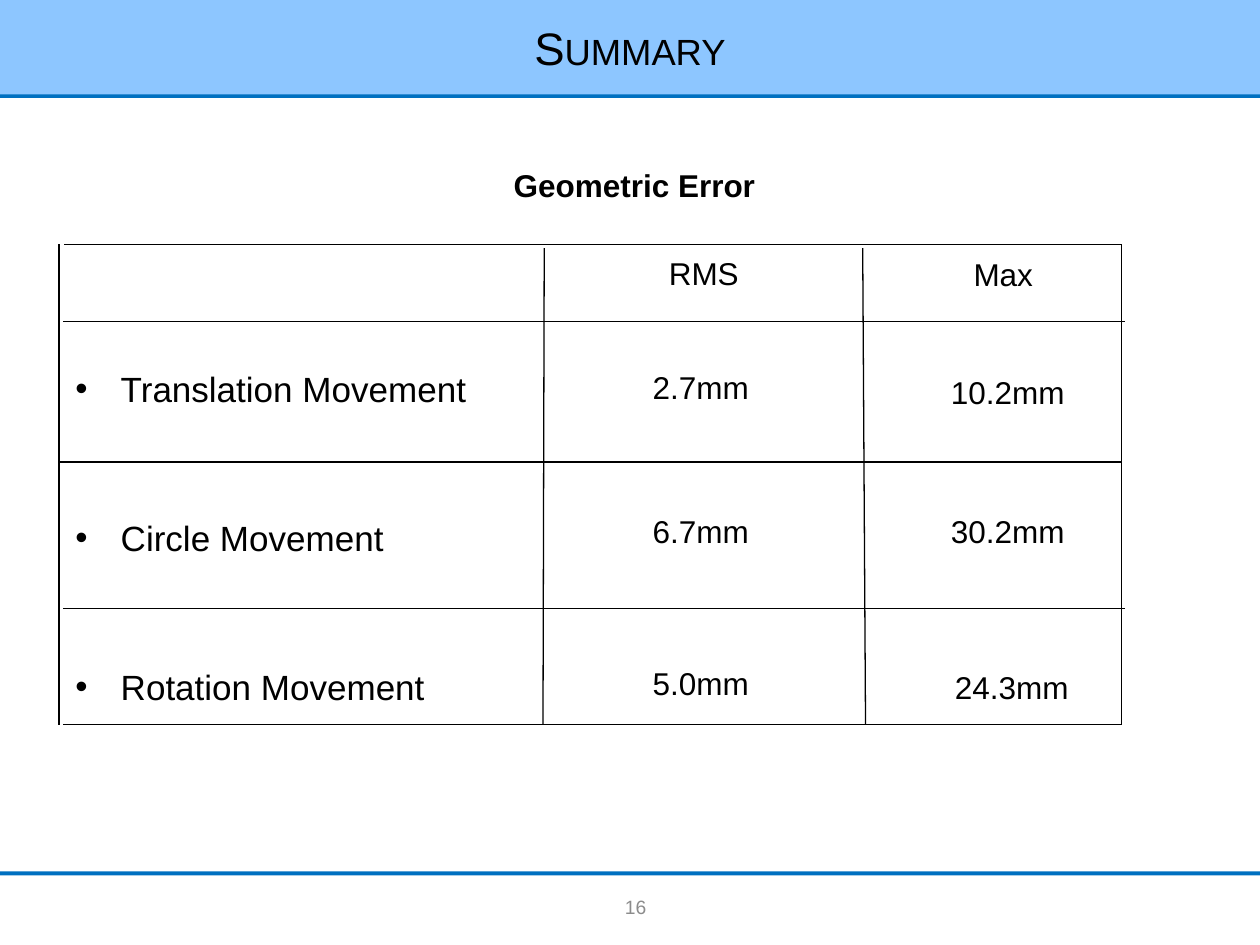
from lxml import etree
from pptx import Presentation
from pptx.dml.color import RGBColor
from pptx.enum import shapes, text
from pptx.oxml import ns
from pptx.util import Pt

BLACK = RGBColor(0x00, 0x00, 0x00)
BLUE = RGBColor(0x00, 0x70, 0xC0)
SKY = RGBColor(0x8D, 0xC6, 0xFF)
GRAY = RGBColor(0x8C, 0x8C, 0x8C)
FONT = "Arial"

MOVEMENTS = ["Translation Movement", "Circle Movement", "Rotation Movement"]

LABELS = [
    ("RMS", 375.1, 141.5, 54.7),
    ("Max", 549.2, 142, 49),
    ("2.7mm", 365.8, 207, 69.8),
    ("10.2mm", 536.2, 209.5, 79.9),
    ("6.7mm", 365.8, 289, 69.8),
    ("30.2mm", 536.2, 289, 79.9),
    ("5.0mm", 365.8, 375.8, 69.8),
    ("24.3mm", 538.6, 378, 79.9),
]

RULES = [
    (36, 183.6, 643, 183.6),
    (33.8, 264, 640.8, 264),
    (36, 347.8, 643, 347.8),
    (311, 141.8, 310.3, 414),
    (36.7, 139.7, 640.8, 139.7),
    (33.8, 139.7, 33.8, 414),
    (36, 414, 640.8, 414),
    (640.8, 139.7, 640.8, 414),
    (493, 141.8, 494.6, 414),
]


def add_band(s, top, height, color):
    sp = s.shapes.add_shape(shapes.MSO_SHAPE.RECTANGLE, 0, Pt(top), Pt(720), Pt(height))
    sp.shadow.inherit = False
    sp.fill.solid()
    sp.fill.fore_color.rgb = color
    sp.line.fill.background()


def format_paragraph(p, size, color=BLACK, align=text.PP_ALIGN.LEFT, bold=False):
    p.alignment = align
    for r in p.runs:
        r.font.name = FONT
        r.font.size = Pt(size)
        r.font.bold = bold
        r.font.color.rgb = color


def add_text(s, words, left, top, width, height, size, wrap=True, **style):
    tf = s.shapes.add_textbox(Pt(left), Pt(top), Pt(width), Pt(height)).text_frame
    tf.word_wrap = wrap
    if wrap:
        tf.vertical_anchor = text.MSO_ANCHOR.MIDDLE
    else:
        tf.auto_size = text.MSO_AUTO_SIZE.SHAPE_TO_FIT_TEXT
    tf.text = words
    format_paragraph(tf.paragraphs[0], size, **style)
    return tf.paragraphs[0].runs[0]


def add_bullet(p):
    pPr = p._p.get_or_add_pPr()
    pPr.set("marL", str(Pt(26)))
    pPr.set("indent", str(-Pt(26)))
    etree.SubElement(pPr, ns.qn("a:buFont"), typeface=FONT)
    etree.SubElement(pPr, ns.qn("a:buChar"), char="•")


def add_bullet_list(s, items):
    tf = s.shapes.add_textbox(Pt(13), Pt(188.6), Pt(329.8), Pt(185.8)).text_frame
    tf.word_wrap = True
    tf.margin_left = Pt(30)
    tf.margin_top = Pt(21.6)
    tf.text = "\n".join(items)
    for i, p in enumerate(tf.paragraphs):
        if i:
            p.space_before = Pt(61)
        add_bullet(p)
        format_paragraph(p, 20)


def add_rule(s, x1, y1, x2, y2):
    line = s.shapes.add_connector(shapes.MSO_CONNECTOR.STRAIGHT,
                                  Pt(x1), Pt(y1), Pt(x2), Pt(y2))
    line.line.color.rgb = BLACK
    line.line.width = Pt(0.75)
    etree.SubElement(line._element.spPr, ns.qn("a:effectLst"))


def main():
    prs = Presentation()
    prs.slide_width, prs.slide_height = Pt(720), Pt(540)
    s = prs.slides.add_slide(prs.slide_layouts[6])
    add_band(s, 0, 56, BLUE)
    add_band(s, 0, 54, SKY)
    add_band(s, 498, 2.2, BLUE)
    add_bullet_list(s, MOVEMENTS)
    title = add_text(s, "Summary", 102, 0, 516, 54, 26, align=text.PP_ALIGN.CENTER)
    title.font._element.set("cap", "small")
    add_text(s, "16", 343.5, 503.7, 33, 29, 11, color=GRAY, align=text.PP_ALIGN.RIGHT)
    add_text(s, "Geometric Error", 286.4, 91.4, 154, 29, 18, wrap=False, bold=True)
    for words, left, top, width in LABELS:
        add_text(s, words, left, top, width, 29, 18, wrap=False)
    for ends in RULES:
        add_rule(s, *ends)
    prs.save("out.pptx")


if __name__ == "__main__":
    main()
